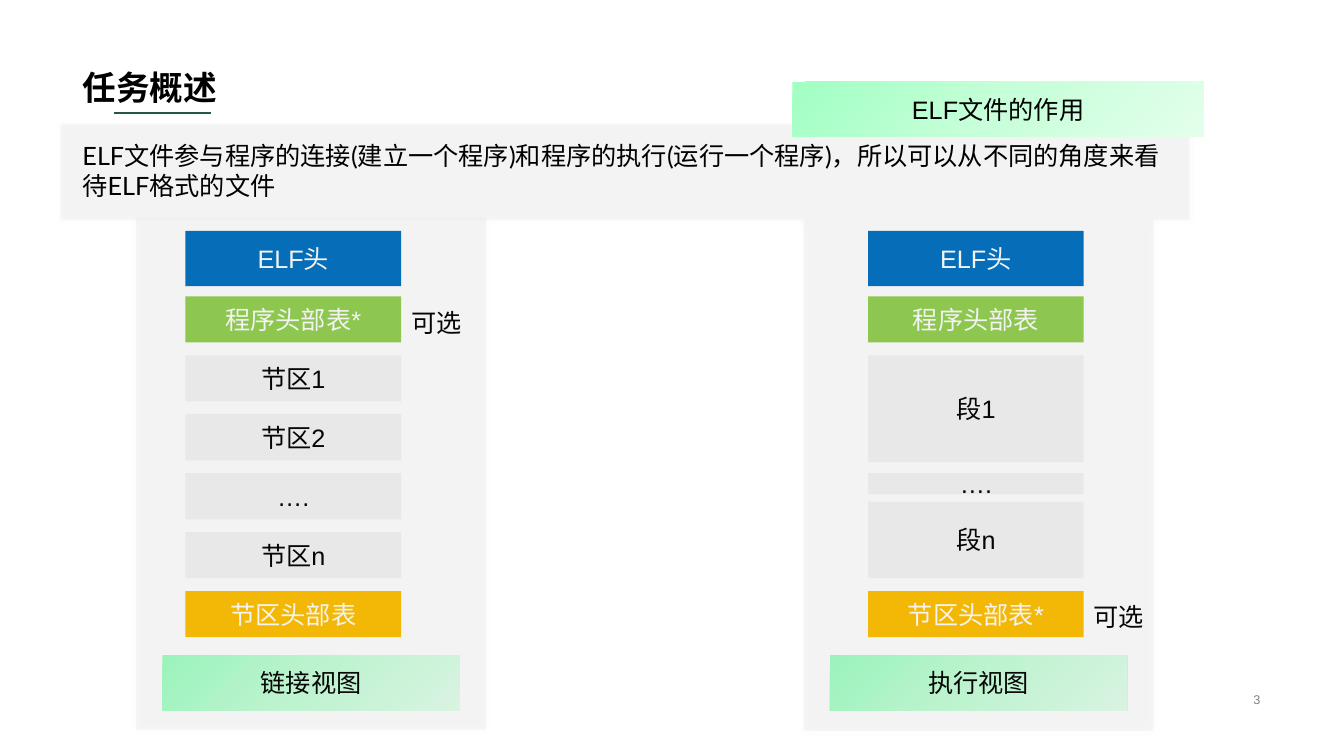
from lxml import etree
from pptx import Presentation, util as u
from pptx.dml.color import RGBColor
from pptx.enum import shapes as s, text as t
from pptx.oxml import parse_xml
from pptx.oxml.ns import nsdecls, qn

WIDTH, HEIGHT = 13.33, 7.5
TOP, STEP, TALL = 39.2, 7.8, 6.1
BLUE, GREEN, GOLD, PALE = "0070C0", "92D050", "FFC000", "F3F3F3"
BLACK, WHITE, GRAY = "000000", "FFFFFF", "808080"
MINT = ((0, "A1FFC3"), (50, "C6FFD9"), (100, "E3FFEC"))


def tint(color, hue):
    color.rgb = RGBColor.from_string(hue)


def grid(left, top, width, height):
    return [u.Inches(share * size / 100) for share, size in
            zip((left, top, width, height), (WIDTH, HEIGHT) * 2)]


def write(shape, words, size=18, font="Arial", hue=BLACK, bold=False, wrap=True,
          align=t.PP_ALIGN.LEFT, anchor=t.MSO_ANCHOR.TOP, space=None,
          fit=t.MSO_AUTO_SIZE.NONE):
    frame = shape.text_frame
    frame.word_wrap = wrap
    frame.auto_size = fit
    frame.vertical_anchor = anchor
    line = frame.paragraphs[0]
    line.alignment = align
    line.line_spacing = space
    run = line.add_run()
    run.text = words
    run.font.name, run.font.size, run.font.bold = font, u.Pt(size), bold
    tint(run.font.color, hue)


def label(slide, place, words, **style):
    write(slide.shapes.add_textbox(*grid(*place)), words, **style)


def plain(slide, place, fill):
    shape = slide.shapes.add_shape(s.MSO_SHAPE.RECTANGLE, *grid(*place))
    shape.shadow.inherit = False
    shape.line.fill.background()
    shape.fill.solid()
    tint(shape.fill.fore_color, fill)
    return shape


def block(slide, place, words, fill, hue=BLACK):
    shape = plain(slide, place, fill)
    write(shape, words, hue=hue, align=t.PP_ALIGN.CENTER, anchor=t.MSO_ANCHOR.MIDDLE)
    return shape


def panel(slide, place):
    props = plain(slide, place, GRAY)._element.spPr
    color = props.find(qn("a:solidFill"))[0]
    etree.SubElement(color, qn("a:alpha")).set("val", "5000")
    props.find(qn("a:effectLst")).append(parse_xml(
        f'<a:outerShdw {nsdecls("a")} blurRad="{u.Pt(5)}" dist="0" dir="0" '
        f'algn="ctr" rotWithShape="0"><a:srgbClr val="{BLACK}">'
        '<a:alpha val="40000"/></a:srgbClr></a:outerShdw>'))


def banner(slide, place, words):
    props = block(slide, place, words, WHITE)._element.spPr
    stops = "".join(f'<a:gs pos="{pos * 1000}"><a:srgbClr val="{hue}"/></a:gs>'
                    for pos, hue in MINT)
    blend = parse_xml(f'<a:gradFill {nsdecls("a")} rotWithShape="1"><a:gsLst>{stops}'
                      '</a:gsLst><a:lin ang="2700000" scaled="0"/></a:gradFill>')
    props.replace(props.find(qn("a:solidFill")), blend)


def rule(slide, left, right, top, hue):
    x, y, width, _ = grid(left, top, right - left, 0)
    line = slide.shapes.add_connector(s.MSO_CONNECTOR.STRAIGHT, x, y, x + width, y)
    tint(line.line.color, hue)
    line.line.width = u.Pt(1)
    etree.SubElement(line._element.spPr, qn("a:effectLst"))


def stack(slide, left, parts):
    block(slide, (left, 30.53, 16.05, 7.33), "ELF头", BLUE, WHITE)
    for row, height, words, fill in parts:
        hue = BLACK if fill == PALE else WHITE
        block(slide, (left, TOP + STEP * row, 16.05, height), words, fill, hue)


def main():
    deck = Presentation()
    deck.slide_width, deck.slide_height = u.Inches(WIDTH), u.Inches(HEIGHT)
    slide = deck.slides.add_slide(deck.slide_layouts[5])
    grow = t.MSO_AUTO_SIZE.SHAPE_TO_FIT_TEXT

    title = slide.shapes.title
    title.left, title.top, title.width, title.height = grid(5.4, 0, 89.12, 14.93)
    write(title, "任务概述", size=24, bold=True, anchor=t.MSO_ANCHOR.BOTTOM, space=0.9)

    panel(slide, (4.5, 16.4, 84.02, 12.67))
    label(slide, (73.59, 90.93, 20.93, 3.07), "3", size=9, hue=GRAY,
          align=t.PP_ALIGN.RIGHT, anchor=t.MSO_ANCHOR.MIDDLE)
    rule(slide, 8.48, 15.68, 14.93, "265941")
    label(slide, (5.4, 17.87, 82.3, 9.47),
          "ELF文件参与程序的连接(建立一个程序)和程序的执行(运行一个程序)，"
          "所以可以从不同的角度来看待ELF格式的文件", font="Lato", fit=grow)
    banner(slide, (58.96, 10.8, 30.61, 7.33), "ELF文件的作用")

    views = (
        (10.13, 28.93, 13.8, "链接视图", 0.1, (
            (0, TALL, "程序头部表*", GREEN), (1, TALL, "节区1", PALE),
            (2, TALL, "节区2", PALE), (3, TALL, "….", PALE),
            (4, TALL, "节区n", PALE), (5, TALL, "节区头部表", GOLD))),
        (59.79, 29.07, 64.59, "执行视图", 5.08, (
            (0, TALL, "程序头部表", GREEN), (1, 14.13, "段1", PALE),
            (3, 2.8, "….", PALE), (3.48, 10.13, "段n", PALE),
            (5, TALL, "节区头部表*", GOLD))),
    )
    for left, top, inner, name, row, parts in views:
        banner(slide, (left + 1.95, 86.67, 22.13, 7.33), name)
        stack(slide, inner, parts)
        label(slide, (inner + 16.05, TOP + STEP * row, 5.33, 5.33), "可选",
              wrap=False, fit=grow)
        panel(slide, (left, top, 26.03, 67.6))

    deck.save("out.pptx")


if __name__ == "__main__":
    main()
